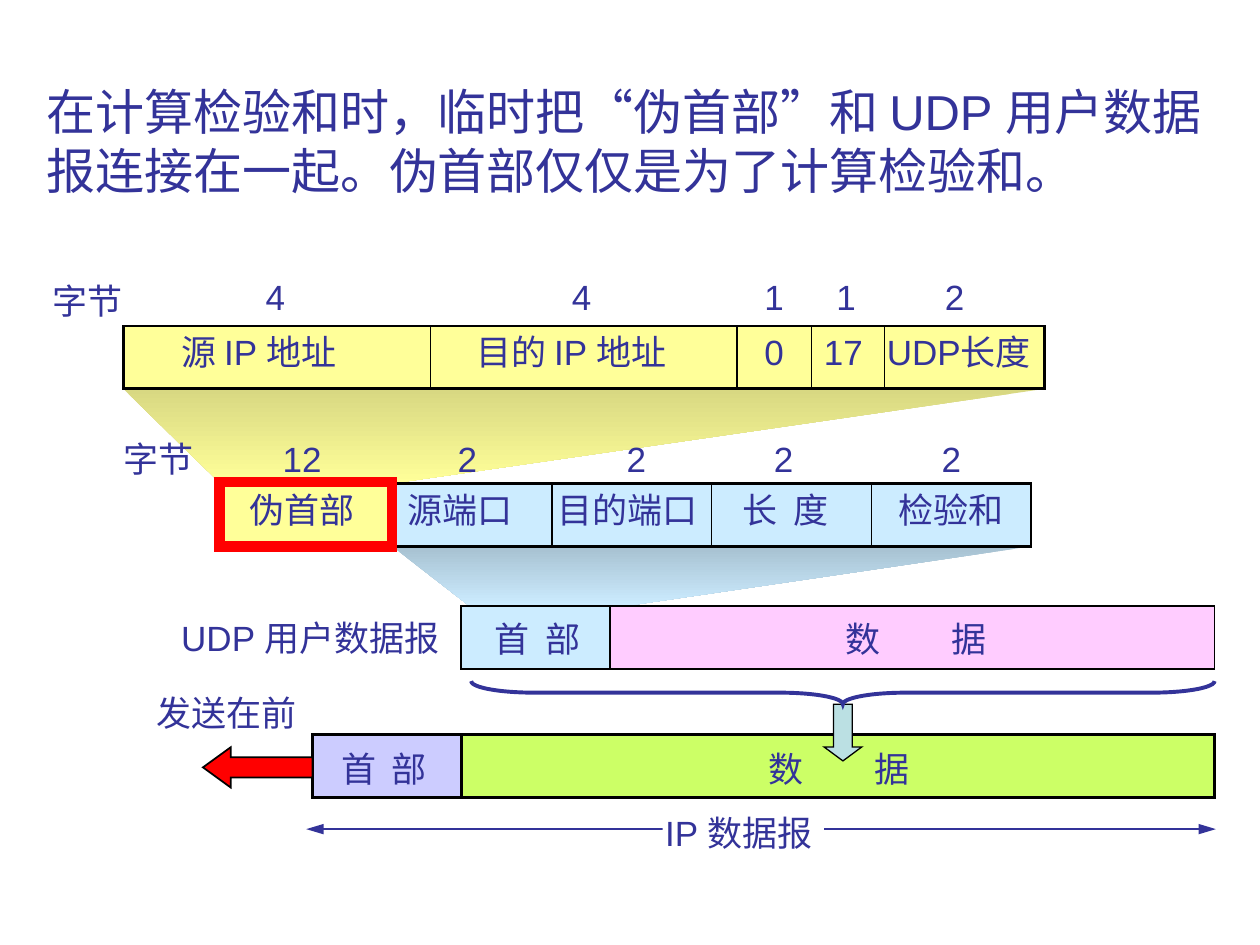
from lxml.etree import SubElement
from pptx import Presentation
from pptx.dml.color import RGBColor
from pptx.enum.dml import MSO_LINE
from pptx.enum.shapes import MSO_CONNECTOR, MSO_SHAPE
from pptx.enum.text import MSO_ANCHOR, MSO_AUTO_SIZE, PP_ALIGN
from pptx.oxml.ns import qn
from pptx.util import Pt

INK, BLACK, YELLOW, BLUE, RED = "333399", "000000", "FFFF99", "CCECFF", "FF0000"
ROW_HEIGHT = 36
LABEL_HEIGHT = 31.5
LABEL_SLACK = 1.5  # keeps a label on one line


def color(hex_code):
    return RGBColor.from_string(hex_code)


def set_style(shape, fill, line, weight):
    shape.shadow.inherit = False
    if fill:
        shape.fill.solid()
        shape.fill.fore_color.rgb = color(fill)
    else:
        shape.fill.background()
    if line:
        shape.line.color.rgb = color(line)
        shape.line.width = Pt(weight)
        SubElement(shape.line._get_or_add_ln(), qn("a:miter"), lim="800000")
    else:
        shape.line.fill.background()


def add_block(slide, box, fill, line=BLACK, weight=1.0, kind=MSO_SHAPE.RECTANGLE, adjust=()):
    block = slide.shapes.add_shape(kind, *map(Pt, box))
    for index, value in enumerate(adjust):
        block.adjustments[index] = value
    set_style(block, fill, line, weight)
    return block


def add_outline(slide, points, close):
    corners = [(Pt(x), Pt(y)) for x, y in points]
    builder = slide.shapes.build_freeform(*corners[0])
    builder.add_line_segments(corners[1:], close=close)
    return builder.convert_to_shape()


def add_fan(slide, points, dark, light):
    """Shaded area that links a row to the field it expands."""
    fan = add_outline(slide, points, True)
    set_style(fan, None, None, 0)
    fan.fill.gradient()
    fan.fill.gradient_angle = 270
    for stop, shade, position in zip(fan.fill.gradient_stops, (dark, light), (0, 1)):
        stop.color.rgb = color(shade)
        stop.position = position


def add_line(slide, start, end, line=BLACK, arrows=False):
    connector = slide.shapes.add_connector(MSO_CONNECTOR.STRAIGHT, *map(Pt, start + end))
    connector.line.color.rgb = color(line)
    connector.line.width = Pt(0.75)
    SubElement(connector._element.spPr, qn("a:effectLst"))
    if arrows:
        for end_tag in ("a:headEnd", "a:tailEnd"):
            SubElement(connector.line._get_or_add_ln(), qn(end_tag), type="triangle", len="lg")


def add_label(slide, text, left, top, width):
    label = slide.shapes.add_textbox(Pt(left), Pt(top), Pt(width + LABEL_SLACK), Pt(LABEL_HEIGHT))
    frame = label.text_frame
    frame.word_wrap = "\t" in text
    frame.auto_size = MSO_AUTO_SIZE.SHAPE_TO_FIT_TEXT
    paragraph = frame.paragraphs[0]
    paragraph.text = text
    if "\t" in text:
        # The second character ends at the right inset of the box
        stops = SubElement(paragraph._p.get_or_add_pPr(), qn("a:tabLst"))
        SubElement(stops, qn("a:tab"), pos=str(Pt(width - 34.4)), algn="l")
    paragraph.font.size = Pt(20)
    paragraph.font.name = "Arial"
    paragraph.font.color.rgb = color(INK)


def add_labels(slide, labels, origin, rise):
    """Labels as (text, left, width), with lefts relative to the origin."""
    x, y = origin
    for text, left, width in labels:
        add_label(slide, text, x + left, y + rise, width)


def add_dividers(slide, box, offsets):
    x, y, _, height = box
    for offset in offsets:
        add_line(slide, (x + offset, y), (x + offset, y + height))


def add_heading(slide, box):
    title = slide.shapes.title
    title.left, title.top, title.width, title.height = map(Pt, box)
    frame = title.text_frame
    frame.word_wrap = True
    frame.auto_size = MSO_AUTO_SIZE.NONE
    frame.vertical_anchor = MSO_ANCHOR.TOP
    paragraph = frame.paragraphs[0]
    paragraph.alignment = PP_ALIGN.LEFT
    paragraph.font.size = Pt(28)
    paragraph.font.color.rgb = color(INK)
    for text, font in (
        ("在计算检验和时，临时把“伪首部”和 UDP 用户数据报连接在一起。", "Arial"),
        ("伪首部仅仅是为了计算检验和。", "Karla"),
    ):
        run = paragraph.add_run()
        run.text = text
        run.font.name = font


def add_pseudo_header(slide, box):
    x, y, width, height = box
    base = y + height
    add_fan(slide, [(x, base), (x + width, base), (x + 154, base + 54), (x + 55.5, base + 54)],
            "D8D882", YELLOW)
    add_block(slide, box, YELLOW, weight=1.5)
    add_dividers(slide, box, (175.4, 350.7, 393.1, 434.9))
    add_labels(slide, [("源 IP 地址", 26, 113), ("目的 IP 地址", 194.5, 133.2),
                       ("0", 359.3, 25.2), ("17", 393.2, 36.7),
                       ("UDP长度", 429.2, 101.5)], (x, y), -0.7)
    # Byte counts
    add_labels(slide, [("4", 74.2, 25.2), ("4", 249.2, 25.2), ("1", 359.3, 25.2),
                       ("1", 400.4, 25.2), ("2", 462.3, 25.2)], (x, y), -32.4)
    add_labels(slide, [("字节", -47.5, 54)], (x, y), -30.3)


def add_udp_header(slide, box):
    x, y, width, height = box
    base = y + height
    add_fan(slide, [(x, base), (x + width, base), (x + 134, base + 34), (x + 44, base + 34)],
            "A7C1D1", BLUE)
    add_block(slide, box, BLUE, weight=1.5)
    add_dividers(slide, box, [width / 4 * i for i in (1, 2, 3)])

    # Pseudo header field, open on its right side
    left = x - 98.3
    field = add_outline(slide, [(x, base), (left, base), (left, y), (x, y)], False)
    set_style(field, YELLOW, BLACK, 1.5)
    field.line.dash_style = MSO_LINE.DASH

    add_labels(slide, [("伪首部", -88.5, 74.2), ("源端口", 1.4, 74.2),
                       ("目的端口", 87.1, 94.3), ("长\t度", 193, 63.4),
                       ("检验和", 282.2, 74.2)], (x, y), -0.7)
    # Byte counts
    add_labels(slide, [("字节", -160.5, 54), ("12", -69.8, 36.7), ("2", 30.2, 25.2),
                       ("2", 126.8, 25.2), ("2", 211, 25.2), ("2", 306.8, 25.2)], (x, y), -29.8)
    add_block(slide, (left - 0.3, y - 0.7, 98.6, height + 0.7), None, RED, 6)


def add_udp_datagram(slide, box):
    x, y, width, height = box
    head = 85
    add_block(slide, (x, y, head, height), BLUE)
    add_block(slide, (x + head, y, width - head, height), "FFCCFF")
    add_labels(slide, [("首\t部", 12.2, 63.4), ("数\t据", 212.4, 95)], (x, y), 2.9)
    add_labels(slide, [("UDP 用户数据报", -167, 167)], (x, y), 2.2)


def add_ip_datagram(slide, box):
    x, y, width, height = box
    head = 85
    add_block(slide, (x + head, y, width - head, height), "CCFF66", weight=1.5)
    add_block(slide, (x, y, head, height), "CCCCFF", weight=1.5)
    add_labels(slide, [("首\t部", 9.3, 63.4), ("数\t据", 253.4, 95)], (x, y), 3.6)

    # Sending direction
    add_block(slide, (x - 62.6, y + 7.2, 62.6, 23), RED,
              kind=MSO_SHAPE.LEFT_ARROW, adjust=(0.5, 0.69))
    add_labels(slide, [("发送在前", -96.5, 94.3)], (x, y), -28.1)

    # Total extent
    add_line(slide, (x - 3.6, y + 54), (x + width + 0.7, y + 54), INK, True)
    add_block(slide, (x + 200, y + 41.7, 92.2, 23), "FFFFFF", None)
    add_labels(slide, [("IP 数据报", 194.4, 103.7)], (x, y), 40.3)


def add_encapsulation(slide, box):
    """Brace under the UDP datagram and an arrow into the IP data."""
    x, y, width, height = box
    center = x + width / 2
    add_block(slide, (center - 10.8, y + height, 21.6, 32.4), "BBE0E3", weight=0.75,
              kind=MSO_SHAPE.DOWN_ARROW, adjust=(0.5, 0.37))
    brace = add_block(slide, (center - height / 2, y + height / 2 - width / 2, height, width),
                      None, INK, 2.25, MSO_SHAPE.LEFT_BRACE, (2.72, 0.5))
    brace.rotation = 270


def main():
    deck = Presentation()
    deck.slide_width, deck.slide_height = Pt(720), Pt(540)
    slide = deck.slides.add_slide(deck.slide_layouts[5])
    add_heading(slide, (19.4, 43.2, 683.3, 74.9))
    add_pseudo_header(slide, (70.5, 186.2, 526.3, ROW_HEIGHT))
    add_udp_header(slide, (224.2, 276.2, 365, ROW_HEIGHT))
    add_udp_datagram(slide, (263.5, 346.3, 430.6, ROW_HEIGHT))
    add_ip_datagram(slide, (178.6, 419.8, 515.5, ROW_HEIGHT))
    add_encapsulation(slide, (269.3, 389.2, 424.8, 13.2))
    deck.save("out.pptx")


if __name__ == "__main__":
    main()
